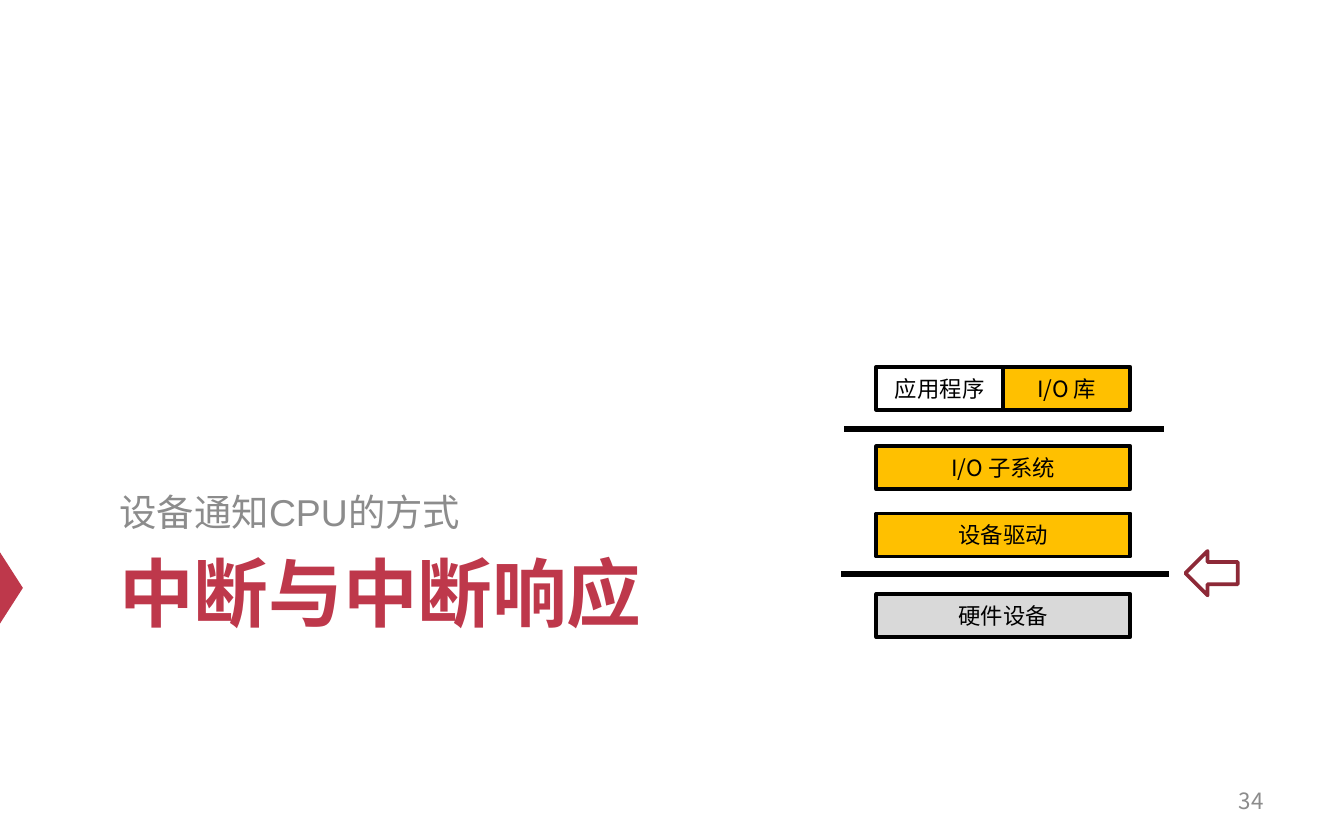
from dataclasses import dataclass

from lxml.etree import SubElement
from pptx import Presentation
from pptx.dml.color import RGBColor
from pptx.enum.shapes import MSO_CONNECTOR, MSO_SHAPE
from pptx.enum.text import MSO_ANCHOR, PP_ALIGN
from pptx.oxml.ns import qn
from pptx.util import Inches, Pt


@dataclass(frozen=True)
class Theme:
    accent: str = "BE384B"
    arrow: str = "8D2937"
    muted: str = "8C8C8C"
    ink: str = "000000"
    software: str = "FFC000"
    hardware: str = "D9D9D9"
    latin: str = "Arial"
    chinese: str = "Noto Sans CJK SC"
    title_size: int = 40
    subtitle_size: int = 20
    label_size: int = 12
    outline: int = 2
    boundary: int = 3


class SlideBuilder:
    """Draws themed elements on the current slide."""

    def __init__(self, slide, theme):
        self.slide = slide
        self.theme = theme

    def set_text(self, text_frame, text, size, color, font, align, anchor, bold=False):
        text_frame.word_wrap = True
        text_frame.vertical_anchor = anchor
        text_frame.text = text
        paragraph = text_frame.paragraphs[0]
        paragraph.alignment = align
        for run in paragraph.runs:
            run.font.name = font
            run.font.size = Pt(size)
            run.font.bold = bold
            run.font.color.rgb = RGBColor.from_string(color)
            properties = run._r.get_or_add_rPr()
            properties.set("lang", "zh-CN")
            SubElement(properties, qn("a:ea")).set("typeface", self.theme.chinese)
        return paragraph

    def text(self, bounds, text, size, color, font,
             align=PP_ALIGN.LEFT, anchor=MSO_ANCHOR.TOP, bold=False):
        shape = self.slide.shapes.add_textbox(*map(Inches, bounds))
        return self.set_text(shape.text_frame, text, size, color, font, align, anchor, bold)

    def shape(self, kind, bounds, fill=None, line=None):
        shape = self.slide.shapes.add_shape(kind, *map(Inches, bounds))
        shape.shadow.inherit = False
        if fill:
            shape.fill.solid()
            shape.fill.fore_color.rgb = RGBColor.from_string(fill)
        else:
            shape.fill.background()
        if line:
            shape.line.color.rgb = RGBColor.from_string(line)
            shape.line.width = Pt(self.theme.outline)
        else:
            shape.line.fill.background()
        return shape

    def layer(self, bounds, label, fill=None):
        theme = self.theme
        shape = self.shape(MSO_SHAPE.RECTANGLE, bounds, fill, theme.ink)
        self.set_text(shape.text_frame, label, theme.label_size, theme.ink,
                      theme.chinese, PP_ALIGN.CENTER, MSO_ANCHOR.MIDDLE)

    def boundary(self, left, right, top):
        connector = self.slide.shapes.add_connector(
            MSO_CONNECTOR.STRAIGHT, *map(Inches, (left, top, right, top)))
        connector.line.color.rgb = RGBColor.from_string(self.theme.ink)
        connector.line.width = Pt(self.theme.boundary)
        SubElement(connector._element.spPr, qn("a:effectLst"))


def main():
    presentation = Presentation()
    presentation.slide_width, presentation.slide_height = Inches(10), Inches(6.25)
    slide = presentation.slides.add_slide(presentation.slide_layouts[6])
    theme = Theme()
    builder = SlideBuilder(slide, theme)

    marker = builder.shape(MSO_SHAPE.ISOSCELES_TRIANGLE, (-0.18, 4.29, 0.53, 0.17), theme.accent)
    marker.rotation = 90
    builder.text((0.79, 4.02, 8.5, 1.24), "中断与中断响应", theme.title_size,
                 theme.accent, theme.latin, bold=True)
    subtitle = builder.text((0.79, 2.65, 8.5, 1.37), "设备通知CPU的方式", theme.subtitle_size,
                            theme.muted, theme.latin, anchor=MSO_ANCHOR.BOTTOM)
    subtitle.line_spacing = 1.2
    builder.text((7.17, 5.79, 2.33, 0.33), "34", theme.label_size, theme.muted,
                 theme.chinese, PP_ALIGN.RIGHT, MSO_ANCHOR.MIDDLE)

    left, width, height = 6.52, 1.89, 0.32
    half = width / 2
    builder.layer((left, 2.73, half, height), "应用程序")
    builder.layer((left + half, 2.73, half, height), "I/O 库", theme.software)
    for top, label, fill in (
        (3.32, "I/O 子系统", theme.software),
        (3.82, "设备驱动", theme.software),
        (4.42, "硬件设备", theme.hardware),
    ):
        builder.layer((left, top, width, height), label, fill)
    builder.boundary(6.28, 8.66, 3.19)
    builder.boundary(6.26, 8.7, 4.27)
    builder.shape(MSO_SHAPE.LEFT_ARROW, (8.82, 4.1, 0.39, 0.33), line=theme.arrow)

    presentation.save("out.pptx")


if __name__ == "__main__":
    main()
